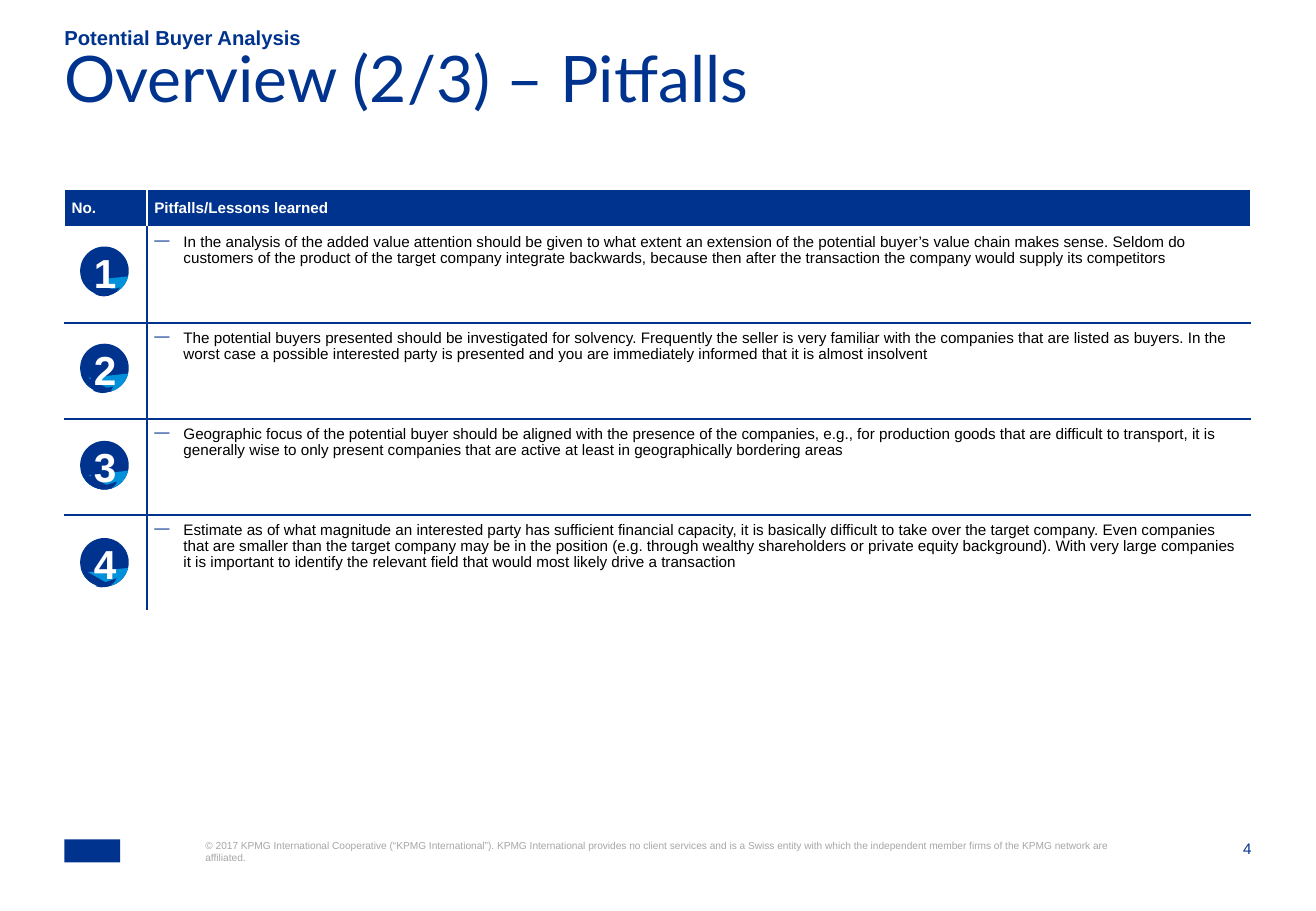
import dataclasses
import typing

import lxml.etree
import pptx
import pptx.dml.color
import pptx.enum.shapes
import pptx.enum.text
import pptx.oxml.ns
import pptx.util

Inches = pptx.util.Inches
Pt = pptx.util.Pt
Kind = pptx.enum.shapes.MSO_SHAPE
Align = pptx.enum.text.PP_ALIGN
Anchor = pptx.enum.text.MSO_ANCHOR
Fit = pptx.enum.text.MSO_AUTO_SIZE
qn = pptx.oxml.ns.qn

NAVY, SKY, GREY = "00338D", "0091DA", "A6A6A6"
WHITE, BLACK = "FFFFFF", "000000"
Box = tuple[float, float, float, float]
Point = tuple[float, float]


@dataclasses.dataclass
class Badge:
    """Points and the knob box are offsets from the badge corner; angles in degrees."""
    cut: float
    quad: tuple[Point, ...]
    knob: Box
    turn: float
    start: float = 81.95
    end: float = 166.04


@dataclasses.dataclass
class Pitfall:
    text: str
    after: int
    badge: Badge


PITFALLS = [
    Pitfall("In the analysis of the added value attention should be given to what extent an extension of the "
            "potential buyer’s value chain makes sense. Seldom do customers of the product of the target company "
            "integrate backwards, because then after the transaction the company would supply its competitors", 1,
            Badge(58.23, (), (0.04, 0.1, 0.31, 0.31), 315, start=77.05)),
    Pitfall("The potential buyers presented should be investigated for solvency. Frequently the seller is very "
            "familiar with the companies that are listed as buyers. In the worst case a possible interested party "
            "is presented and you are immediately informed that it is almost insolvent", 2,
            Badge(70.86, ((0.09, 0.05), (0.26, 0.06), (0.16, 0.34), (0.09, 0.34)),
                  (0.04, 0.14, 0.21, 0.29), 306.1)),
    Pitfall("Geographic focus of the potential buyer should be aligned with the presence of the companies, e.g., "
            "for production goods that are difficult to transport, it is generally wise to only present companies "
            "that are active at least in geographically bordering areas", 2,
            Badge(71, ((0.09, 0.05), (0.24, 0.06), (0.23, 0.32), (0.09, 0.33)),
                  (0.06, 0.14, 0.21, 0.29), 298)),
    Pitfall("Estimate as of what magnitude an interested party has sufficient financial capacity, it is basically "
            "difficult to take over the target company. Even companies that are smaller than the target company "
            "may be in the position (e.g. through wealthy shareholders or private equity background). With very "
            "large companies it is important to identify the relevant field that would most likely drive a "
            "transaction", 2,
            Badge(73.73, ((0.08, 0.05), (0.24, 0.06), (0.22, 0.26), (0.08, 0.27)),
                  (0.04, 0.13, 0.25, 0.29), 301.1, end=168.3)),
]


def tint(code: str) -> pptx.dml.color.RGBColor:
    return pptx.dml.color.RGBColor.from_string(code)


def place(box: Box) -> list[int]:
    return [Inches(side) for side in box]


def write(para: typing.Any, text: str, size: float, color: str, bold: bool = False, face: str = "Arial") -> None:
    run = para.add_run()
    run.text = text
    run.font.size, run.font.name, run.font.bold = Pt(size), face, bold
    run.font.color.rgb = tint(color)


def pad(frame: typing.Any, inset: float) -> None:
    frame.margin_left = frame.margin_right = Inches(inset)
    frame.margin_top = frame.margin_bottom = Inches(inset)


def label(slide: typing.Any, box: Box, text: str, size: float, color: str, bold: bool = False,
          align: Align = Align.LEFT, anchor: Anchor = Anchor.TOP) -> None:
    frame = slide.shapes.add_textbox(*place(box)).text_frame
    frame.word_wrap, frame.vertical_anchor = True, anchor
    pad(frame, 0)
    frame.paragraphs[0].alignment = align
    write(frame.paragraphs[0], text, size, color, bold)


def paint(shape: typing.Any, color: str) -> None:
    shape.shadow.inherit = False
    shape.fill.solid()
    shape.fill.fore_color.rgb = tint(color)
    shape.line.fill.background()


def solid(shapes: typing.Any, kind: Kind, box: Box, color: str, angles: tuple[float, ...] = (),
          turn: float = 0) -> None:
    shape = shapes.add_shape(kind, *place(box))
    for index, angle in enumerate(angles):
        shape.adjustments[index] = angle * 0.6
    shape.rotation = turn
    paint(shape, color)


def stamp(slide: typing.Any, badge: Badge, number: int) -> None:
    """Draw one round number badge with its long shadow."""
    left, top = 0.66, 2.03 + 0.8 * (number - 1)
    shapes = slide.shapes.add_group_shape().shapes
    disc = (left, top, 0.4, 0.4)
    solid(shapes, Kind.OVAL, disc, NAVY)
    solid(shapes, Kind.CHORD, disc, SKY, (13.23, 154.41))
    solid(shapes, Kind.CHORD, disc, NAVY, (badge.cut, 166.04))
    if badge.quad:
        spots = [(Inches(left + x), Inches(top + y)) for x, y in badge.quad]
        pen = shapes.build_freeform(*spots[0])
        pen.add_line_segments(spots[1:], close=True)
        paint(pen.convert_to_shape(), NAVY)
    else:
        solid(shapes, Kind.RECTANGLE, (left + 0.09, top + 0.05, 0.14, 0.29), NAVY)
    x, y, width, height = badge.knob
    solid(shapes, Kind.CHORD, (left + x, top + y, width, height), NAVY, (badge.start, badge.end), badge.turn)
    frame = shapes.add_textbox(*place((left + 0.01, top - 0.04, 0.39, 0.5))).text_frame
    frame.word_wrap, frame.auto_size = False, Fit.SHAPE_TO_FIT_TEXT
    frame.paragraphs[0].alignment = Align.CENTER
    write(frame.paragraphs[0], str(number), 24, WHITE, True)


def edge(cell: typing.Any, **sides: str) -> None:
    """Set 1 pt borders; sides are named L, R, T and B."""
    props = cell._tc.get_or_add_tcPr()
    order = [side for side in "LRTB" if side in sides]
    for index, side in enumerate(order):
        line = lxml.etree.Element(qn(f"a:ln{side}"), w=str(Pt(1)))
        fill = lxml.etree.SubElement(line, qn("a:solidFill"))
        lxml.etree.SubElement(fill, qn("a:srgbClr"), val=sides[side])
        props.insert(index, line)


def dash(para: typing.Any) -> None:
    props = para._p.get_or_add_pPr()
    props.set("marL", str(Inches(0.24)))
    props.set("indent", str(-Inches(0.24)))
    color = lxml.etree.SubElement(props, qn("a:buClr"))
    lxml.etree.SubElement(color, qn("a:srgbClr"), val=NAVY)
    lxml.etree.SubElement(props, qn("a:buChar"), char="—")


def tabulate(slide: typing.Any) -> None:
    count = len(PITFALLS)
    table = slide.shapes.add_table(count + 1, 2, *place((0.53, 1.56, 9.76, 3.47))).table
    table.first_row = table.horz_banding = False
    for column, width in zip(table.columns, (0.68, 9.08)):
        column.width = Inches(width)
    for index, row in enumerate(table.rows):
        row.height = Inches(0.79 if index else 0.31)
        for cell in row.cells:
            cell.fill.solid()
            cell.fill.fore_color.rgb = tint(WHITE if index else NAVY)
            pad(cell, 0.06)
        first, last = row.cells
        if index == 0:
            for cell, text in zip(row.cells, ("No.", "Pitfalls/Lessons learned")):
                cell.vertical_anchor = Anchor.MIDDLE
                para = cell.text_frame.paragraphs[0]
                para.line_spacing = 0.95
                write(para, text, 9, WHITE, True)
            edge(first, L=WHITE, R=WHITE, T=WHITE, B=WHITE)
            edge(last, L=WHITE, T=WHITE, B=WHITE)
            continue
        pitfall = PITFALLS[index - 1]
        para = last.text_frame.paragraphs[0]
        dash(para)
        para.line_spacing, para.space_after = 0.95, Pt(pitfall.after)
        write(para, pitfall.text, 9, BLACK)
        rules = {"T": WHITE if index == 1 else NAVY}
        if index < count:
            rules["B"] = NAVY
        edge(first, L=WHITE, R=NAVY, **rules)
        edge(last, L=NAVY, **rules)


def main() -> None:
    deck = pptx.Presentation()
    deck.slide_width, deck.slide_height = Inches(10.83), Inches(7.5)
    slide = deck.slides.add_slide(deck.slide_layouts.get_by_name("Title Only"))

    title = slide.shapes.title
    title.left, title.top, title.width, title.height = place((0.53, 0.49, 9.76, 0.79))
    frame = title.text_frame
    frame.word_wrap, frame.auto_size, frame.vertical_anchor = True, Fit.NONE, Anchor.TOP
    pad(frame, 0)
    para = frame.paragraphs[0]
    para.alignment, para.line_spacing = Align.LEFT, 0.7
    write(para, "Overview (2/3) – Pitfalls", 38, NAVY, face="Lato")

    label(slide, (0.53, 0.22, 9.4, 0.19), "Potential Buyer Analysis", 12, NAVY, True, anchor=Anchor.BOTTOM)
    label(slide, (9.87, 6.91, 0.43, 0.16), "4", 9, NAVY, align=Align.RIGHT)
    label(slide, (1.69, 6.91, 7.49, 0.41),
          "© 2017 KPMG International Cooperative (“KPMG International”). KPMG International provides no client "
          "services and is a Swiss entity with which the independent member firms of the KPMG network are "
          "affiliated.", 6, GREY)
    solid(slide.shapes, Kind.RECTANGLE, (0.53, 6.91, 0.46, 0.19), NAVY)
    tabulate(slide)
    for number, pitfall in enumerate(PITFALLS, 1):
        stamp(slide, pitfall.badge, number)
    deck.save("out.pptx")


if __name__ == "__main__":
    main()
